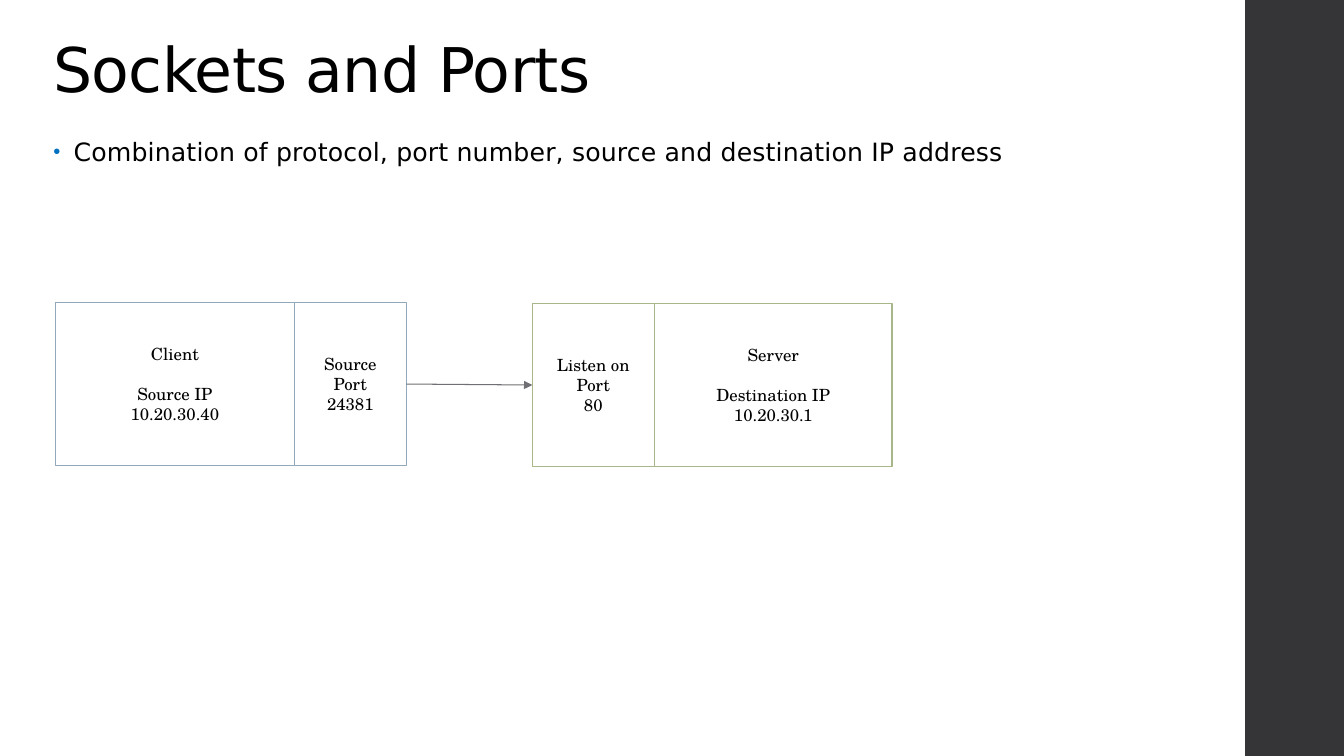
"""Build the Sockets and Ports slide."""
import pptx
import pptx.dml.color
import pptx.enum.shapes
import pptx.enum.text
import pptx.oxml
import pptx.oxml.ns
import pptx.util

Inches = pptx.util.Inches
Pt = pptx.util.Pt
RGBColor = pptx.dml.color.RGBColor
ANCHOR = pptx.enum.text.MSO_ANCHOR
ALIGN = pptx.enum.text.PP_ALIGN
RECTANGLE = pptx.enum.shapes.MSO_SHAPE.RECTANGLE

BLACK = RGBColor(0x00, 0x00, 0x00)
WHITE = RGBColor(0xFF, 0xFF, 0xFF)
SIDEBAR = RGBColor(0x35, 0x35, 0x37)
CLIENT_BLUE = RGBColor(0x92, 0xA9, 0xB9)
SERVER_GREEN = RGBColor(0xA7, 0xB7, 0x89)
ARROW_GRAY = RGBColor(0x6F, 0x6F, 0x74)
HEADING_FONT = "DejaVu Sans"
BOX_FONT = "TeX Gyre Schola"

TITLE = "Sockets and Ports"
BULLET = "Combination of protocol, port number, source and destination IP address"
BOX_HEIGHT = 1.62
HOST_GAP = 14.3
ENDPOINTS = [
    (0.55, 3.0, CLIENT_BLUE, [
        (2.37, ["Client", "Source IP", "10.20.30.40"], HOST_GAP),
        (1.11, ["Source", "Port", "24381"], 0),
    ]),
    (5.28, 3.01, SERVER_GREEN, [
        (1.21, ["Listen on", "Port", "80"], 0),
        (2.36, ["Server", "Destination IP", "10.20.30.1"], HOST_GAP),
    ]),
]


def add_span(para, text, font, size):
    span = para.add_run()
    span.text = text
    span.font.name = font
    span.font.size = Pt(size)
    span.font.color.rgb = BLACK
    return span


def fill_placeholder(box, top, height, anchor, text, size, tracking):
    box.left, box.top = Inches(0.43), Inches(top)
    box.width, box.height = Inches(11.55), Inches(height)
    frame = box.text_frame
    frame.word_wrap = True
    frame.auto_size = pptx.enum.text.MSO_AUTO_SIZE.NONE
    frame.vertical_anchor = anchor
    para = frame.paragraphs[0]
    para.alignment = ALIGN.LEFT
    span = add_span(para, text, HEADING_FONT, size)
    span.font._element.set("spc", str(tracking))
    return para


def add_bullet(para):
    properties = para._p.get_or_add_pPr()
    properties.set("marL", str(Inches(0.2)))
    properties.set("indent", str(Inches(-0.2)))
    namespace = pptx.oxml.ns.nsdecls("a")
    for markup in (
        f'<a:buClr {namespace}><a:srgbClr val="0070C0"/></a:buClr>',
        f'<a:buSzPct {namespace} val="80000"/>',
        f'<a:buFont {namespace} typeface="Arial"/>',
        f'<a:buChar {namespace} char="•"/>',
    ):
        properties.append(pptx.oxml.parse_xml(markup))


def add_box(page, left, top, width, height, fill, outline=None):
    box = page.shapes.add_shape(
        RECTANGLE, Inches(left), Inches(top), Inches(width), Inches(height))
    box.shadow.inherit = False
    box.fill.solid()
    box.fill.fore_color.rgb = fill
    if outline is None:
        box.line.fill.background()
    else:
        box.line.color.rgb = outline
        box.line.width = Pt(1.1)
    return box


def write_lines(box, lines, gap):
    frame = box.text_frame
    frame.word_wrap = True
    frame.vertical_anchor = ANCHOR.MIDDLE
    for index, line in enumerate(lines):
        para = frame.paragraphs[0] if index == 0 else frame.add_paragraph()
        para.alignment = ALIGN.CENTER
        if index == 1 and gap:
            para.space_before = Pt(gap)
        add_span(para, line, BOX_FONT, 12)


def add_arrow(page, source, target):
    arrow = page.shapes.add_connector(
        pptx.enum.shapes.MSO_CONNECTOR.STRAIGHT, 0, 0, 0, 0)
    arrow.begin_connect(source, 3)
    arrow.end_connect(target, 1)
    arrow.line.color.rgb = ARROW_GRAY
    arrow.line.width = Pt(0.75)
    namespace = pptx.oxml.ns.nsdecls("a")
    arrow.line._get_or_add_ln().append(
        pptx.oxml.parse_xml(f'<a:tailEnd {namespace} type="triangle"/>'))
    arrow._element.spPr.append(pptx.oxml.parse_xml(f"<a:effectLst {namespace}/>"))


def main():
    deck = pptx.Presentation()
    deck.slide_width, deck.slide_height = Inches(13.33), Inches(7.5)
    page = deck.slides.add_slide(deck.slide_layouts[1])
    add_box(page, 12.35, 0, 0.98, 7.5, SIDEBAR)

    title = fill_placeholder(
        page.shapes.title, 0.22, 0.88, ANCHOR.BOTTOM, TITLE, 44, -50)
    title.line_spacing = 0.9
    body = fill_placeholder(
        page.placeholders[1], 1.32, 5.83, ANCHOR.TOP, BULLET, 18, 10)
    body.line_spacing = 0.95
    body.space_before, body.space_after = Pt(14), Pt(2)
    add_bullet(body)

    boxes = []
    for left, top, outline, parts in ENDPOINTS:
        for width, lines, gap in parts:
            box = add_box(page, left, top, width, BOX_HEIGHT, WHITE, outline)
            write_lines(box, lines, gap)
            boxes.append(box)
            left += width
    add_arrow(page, boxes[1], boxes[2])
    deck.save("out.pptx")


if __name__ == "__main__":
    main()
